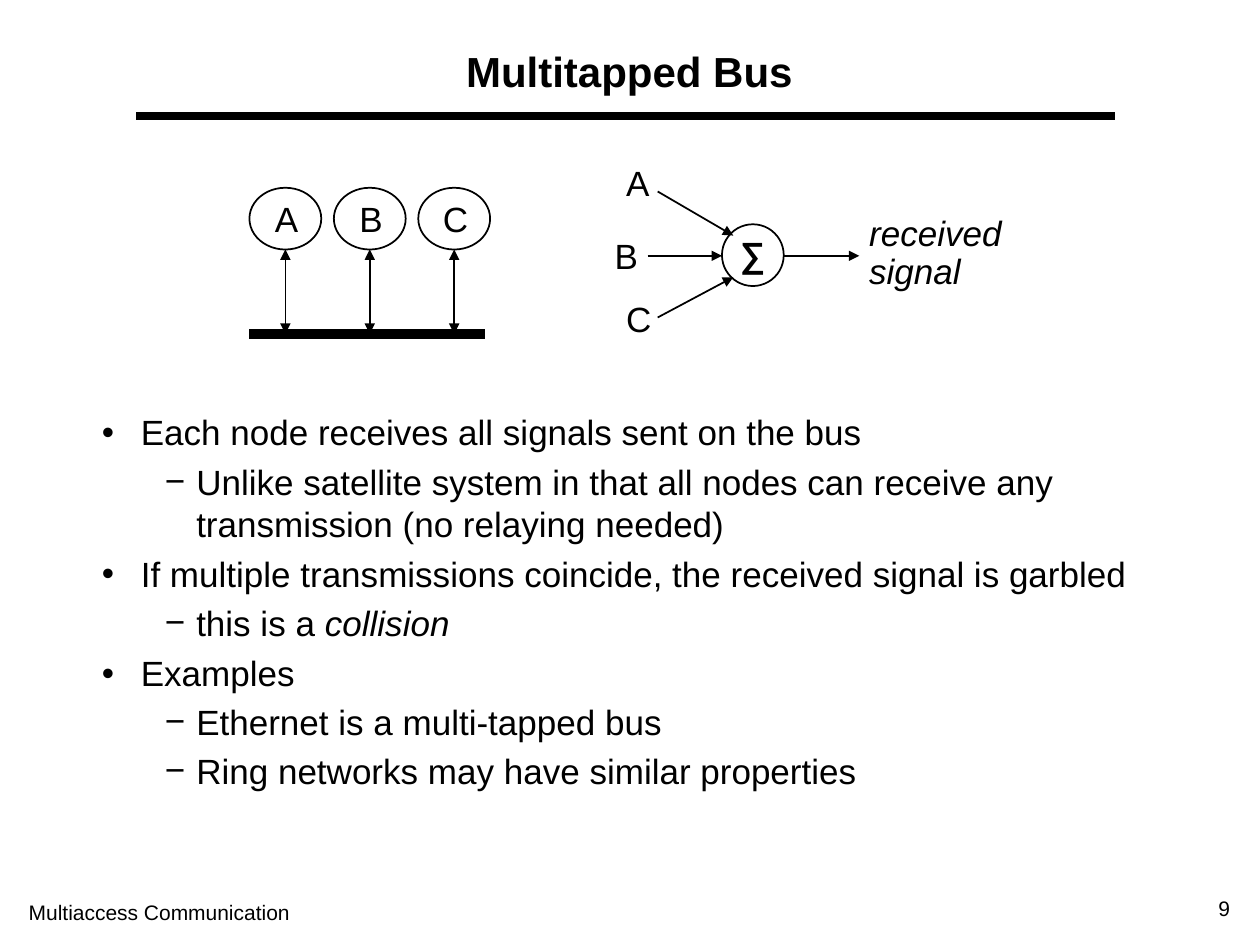
from collections import namedtuple

from lxml.etree import SubElement
from pptx import Presentation
from pptx.dml.color import RGBColor
from pptx.enum.shapes import MSO_CONNECTOR, MSO_SHAPE
from pptx.enum.text import MSO_ANCHOR, PP_ALIGN
from pptx.oxml.ns import qn
from pptx.util import Inches, Pt

FONT = "Arial"
BLACK = "000000"
COLUMNS, ROWS = 100, 75  # grid over the whole slide

Box = namedtuple("Box", "left top width height")  # in columns and rows

presentation = Presentation()
presentation.slide_width, presentation.slide_height = Inches(10), Inches(7.5)


def color(hex_string):
    return RGBColor.from_string(hex_string)


def across(columns):
    return round(presentation.slide_width * columns / COLUMNS)


def down(rows):
    return round(presentation.slide_height * rows / ROWS)


def inside(box, left, top, width, height):
    """A part's box, given relative to its region's corner."""
    return Box(box.left + left, box.top + top, width, height)


def place(box):
    return across(box.left), down(box.top), across(box.width), down(box.height)


def style_runs(paragraph, size, bold=False, italic=False):
    for run in paragraph.runs:
        run.font.name, run.font.size = FONT, Pt(size)
        run.font.bold, run.font.italic = bold, italic
        run.font.color.rgb = color(BLACK)


def add_text(slide, box, text, size=20, align=PP_ALIGN.LEFT, wrap=True,
             anchor=MSO_ANCHOR.TOP, spacing=1.0, before=0, **style):
    text_frame = slide.shapes.add_textbox(*place(box)).text_frame
    text_frame.word_wrap, text_frame.vertical_anchor = wrap, anchor
    paragraph = text_frame.paragraphs[0]
    paragraph.text = text
    paragraph.alignment, paragraph.line_spacing = align, spacing
    paragraph.space_before = Pt(before)
    style_runs(paragraph, size, **style)


def add_line(slide, box, start, end, width=1, arrows=()):
    """A line between two points of box; arrows names its pointed ends."""
    connector = slide.shapes.add_connector(
        MSO_CONNECTOR.STRAIGHT,
        across(box.left + start[0]), down(box.top + start[1]),
        across(box.left + end[0]), down(box.top + end[1]))
    connector.line.color.rgb, connector.line.width = color(BLACK), Pt(width)
    outline = connector.line._get_or_add_ln()
    for arrow in arrows:
        SubElement(outline, qn(f"a:{arrow}"), type="triangle")
    SubElement(connector._element.spPr, qn("a:effectLst"))


def add_node(slide, box):
    shape = slide.shapes.add_shape(MSO_SHAPE.OVAL, *place(box))
    shape.shadow.inherit = False
    shape.fill.background()
    shape.line.color.rgb, shape.line.width = color(BLACK), Pt(1)


def add_header(slide, box, title):
    add_text(slide, box, title, 24, PP_ALIGN.CENTER, anchor=MSO_ANCHOR.MIDDLE,
             spacing=0.9, bold=True)
    add_line(slide, box, (0, box.height), (77.7, box.height), 4.5)


def add_bus(slide, box, names):
    node_width, node_height, pitch = 5.7, 4.9, 6.7
    add_line(slide, box, (0, box.height), (box.width, box.height), 6)
    for index, name in enumerate(names):
        left = index * pitch
        middle = left + node_width / 2
        add_node(slide, inside(box, left, 0, node_width, node_height))
        add_text(slide, inside(box, left + 0.45, 0.3, 5, 4.3), name,
                 align=PP_ALIGN.CENTER)
        add_line(slide, box, (middle, node_height), (middle, box.height),
                 arrows=("headEnd", "tailEnd"))


def add_adder(slide, box, output):
    # Summing node
    add_node(slide, inside(box, 9.5, 5.5, 4.9, 4.9))
    add_text(slide, inside(box, 9.95, 5.7, 3.9, 4.3), "∑", bold=True,
             align=PP_ALIGN.CENTER, wrap=False)
    # Inputs: name, label corner, arrow start, arrow end
    inputs = [
        ("A", (0.9, 0), (6, 2.9), (10.4, 6.4)),
        ("B", (0, 5.8), (5.1, 8), (9.5, 8)),
        ("C", (0.9, 10.8), (6, 12.9), (10.4, 9.7)),
    ]
    for name, corner, start, end in inputs:
        # Arrows leave the labels and meet the node's edge
        start = (start[0] - 1.6 + (0.1 if name != "B" else 0.2), start[1])
        start = (start[0] + 1.4, start[1])
        add_text(slide, inside(box, *corner, 3.8, 4.3), name,
                 align=PP_ALIGN.CENTER, wrap=False)
        add_line(slide, box, (start[0] - 1.5, start[1]), end, arrows=["tailEnd"])
    # Output
    add_line(slide, box, (14.4, 8), (20.4, 8), arrows=["tailEnd"])
    add_text(slide, inside(box, 20.2, 4.4, 12.5, 7), output, wrap=False,
             spacing=0.9, italic=True)


def add_bullets(slide, box, items):
    # Per level: bullet, text indent, hang, line spacing, space before
    levels = [("•", 3.1, 3.1, 0.9, 7.5), ("−", 7.5, 2.5, 1.0, 3.7)]
    text_frame = slide.shapes.add_textbox(*place(box)).text_frame
    text_frame.word_wrap = True
    for index, (level, text, emphasis) in enumerate(items):
        bullet, indent, hang, spacing, before = levels[level]
        paragraph = (text_frame.add_paragraph() if index
                     else text_frame.paragraphs[0])
        paragraph.text, paragraph.level = text, level
        paragraph.line_spacing, paragraph.space_before = spacing, Pt(before)
        style_runs(paragraph, 20)
        if emphasis:
            run = paragraph.add_run()
            run.text = emphasis
            style_runs(paragraph, 20)
            run.font.italic = True
        properties = paragraph._p.get_or_add_pPr()
        properties.set("marL", str(across(indent)))
        properties.set("indent", str(-across(hang)))
        bullet_color = SubElement(properties, qn("a:buClr"))
        SubElement(bullet_color, qn("a:srgbClr"), val=BLACK)
        SubElement(properties, qn("a:buFont"), typeface=FONT)
        SubElement(properties, qn("a:buChar"), char=bullet)


def add_footer(slide, box, label, number):
    add_text(slide, inside(box, 0, 0.3, 40, 3), label, 12, before=7.5)
    add_text(slide, inside(box, box.width - 9.1, 0, 9.1, 3), number, 12,
             PP_ALIGN.RIGHT, before=7.5)


def main():
    slide = presentation.slides.add_slide(presentation.slide_layouts[6])
    add_header(slide, Box(10.8, 2.5, 78.3, 6.7), "Multitapped Bus")
    add_bus(slide, Box(19.8, 14.9, 18.7, 11.6), "ABC")
    add_adder(slide, Box(47.8, 12.3, 32.7, 15.1), "received\vsignal")
    add_bullets(slide, Box(7.1, 32.5, 85.7, 34.2), [
        (0, "Each node receives all signals sent on the bus", ""),
        (1, "Unlike satellite system in that all nodes can receive any "
            "transmission (no relaying needed)", ""),
        (0, "If multiple transmissions coincide, the received signal is "
            "garbled", ""),
        (1, "this is a ", "collision"),
        (0, "Examples", ""),
        (1, "Ethernet is a multi-tapped bus", ""),
        (1, "Ring networks may have similar properties", ""),
    ])
    add_footer(slide, Box(1.3, 70.6, 97.3, 3.3), "Multiaccess Communication", "9")
    presentation.save("out.pptx")


if __name__ == "__main__":
    main()
